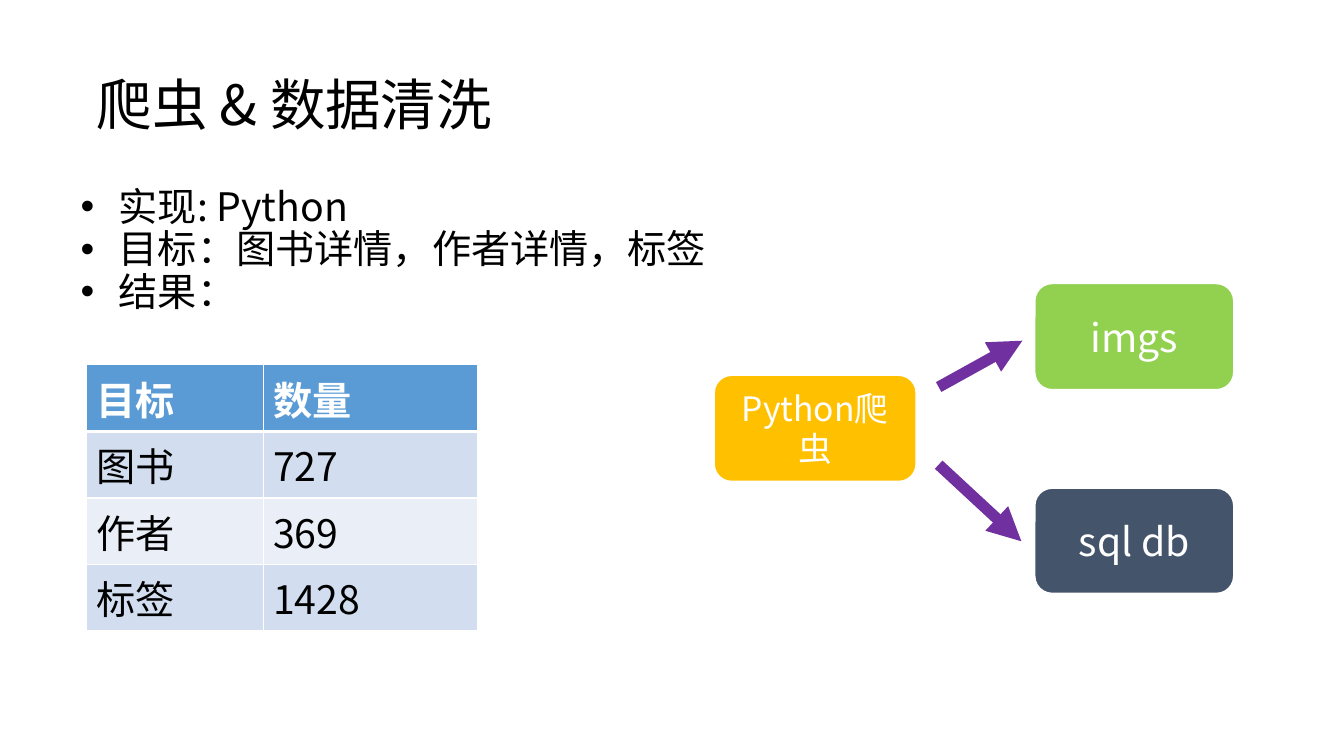
"""Builds the crawler and data cleaning slide."""
from lxml import etree
from pptx import Presentation
from pptx.dml.color import RGBColor
from pptx.enum.shapes import MSO_CONNECTOR, MSO_SHAPE
from pptx.enum.text import MSO_ANCHOR, PP_ALIGN
from pptx.oxml.ns import qn
from pptx.util import Inches, Pt

ROUNDED = MSO_SHAPE.ROUNDED_RECTANGLE
STRAIGHT = MSO_CONNECTOR.STRAIGHT
MIDDLE = MSO_ANCHOR.MIDDLE
LEFT, CENTER = PP_ALIGN.LEFT, PP_ALIGN.CENTER

THEME = {
    "font": "Noto Sans CJK SC",
    "title": 39.6, "body": 28, "small": 24,
    "black": "000000", "white": "FFFFFF", "arrow": "7030A0",
    "header": "5B9BD5", "bands": ("D2DEEF", "EAEFF7"),
    "orange": "FFC000", "green": "92D050", "slate": "44546A",
}

TITLE = "爬虫 & 数据清洗"
BULLETS = ["实现: Python", "目标：图书详情，作者详情，标签", "结果："]
ROWS = [("目标", "数量"), ("图书", "727"), ("作者", "369"), ("标签", "1428")]
COL_WIDTHS = (1.75, 2.13)
ROW_HEIGHT = 0.66
NODES = [
    ("sql db", (10.26, 4.84, 1.98, 1.05), "slate", "body"),
    ("imgs", (10.26, 2.81, 1.98, 1.06), "green", "body"),
    ("Python爬虫", (7.08, 3.72, 2.01, 1.06), "orange", "small"),
]
ARROWS = [(9.31, 3.84, 10.14, 3.38), (9.31, 4.61, 10.13, 5.37)]


def rgb(value):
    return RGBColor.from_string(value)


def inches(values):
    return [Inches(v) for v in values]


def write(tf, text, size="body", color="black", bold=False, align=LEFT,
          spacing=None, bullet=False):
    """Fill a text frame, one paragraph for each line."""
    tf.word_wrap = True
    tf.vertical_anchor = MIDDLE
    for i, line in enumerate(text.split("\n")):
        p = tf.add_paragraph() if i else tf.paragraphs[0]
        p.alignment, p.line_spacing = align, spacing
        r = p.add_run()
        r.text = line
        r.font.name, r.font.size, r.font.bold = THEME["font"], Pt(THEME[size]), bold
        r.font.color.rgb = rgb(THEME[color])
        ea = etree.SubElement(r.font._element, qn("a:ea"))
        ea.set("typeface", THEME["font"])
        if bullet:
            pPr = p._p.get_or_add_pPr()
            pPr.set("marL", str(Inches(0.38)))
            pPr.set("indent", str(-Inches(0.38)))
            etree.SubElement(pPr, qn("a:buFont")).set("typeface", "Arial")
            etree.SubElement(pPr, qn("a:buChar")).set("char", "•")


def border(cell, side, width):
    ln = etree.SubElement(cell._tc.get_or_add_tcPr(), qn("a:" + side), w=str(Pt(width)))
    fill = etree.SubElement(ln, qn("a:solidFill"))
    etree.SubElement(fill, qn("a:srgbClr"), val=THEME["white"])


def add_counts(s):
    box = inches((0.86, 3.62, sum(COL_WIDTHS), ROW_HEIGHT * len(ROWS)))
    table = s.shapes.add_table(len(ROWS), len(COL_WIDTHS), *box).table
    for column, width in zip(table.columns, COL_WIDTHS):
        column.width = Inches(width)
    for i, row in enumerate(ROWS):
        header = i == 0
        fill = THEME["header"] if header else THEME["bands"][(i - 1) % 2]
        for j, text in enumerate(row):
            cell = table.cell(i, j)
            write(cell.text_frame, text, color="white" if header else "black", bold=header)
            cell.vertical_anchor = MIDDLE
            for side in ("lnL", "lnR", "lnT", "lnB"):
                thick = (header and side == "lnB") or (i == 1 and side == "lnT")
                border(cell, side, 3 if thick else 1)
            cell.fill.solid()
            cell.fill.fore_color.rgb = rgb(fill)


def add_node(s, text, box, color, size):
    sp = s.shapes.add_shape(ROUNDED, *inches(box))
    sp.shadow.inherit = False
    sp.fill.solid()
    sp.fill.fore_color.rgb = rgb(THEME[color])
    sp.line.color.rgb = rgb(THEME["white"])
    sp.line.width = Pt(1.5)
    write(sp.text_frame, text, size=size, color="white", align=CENTER)


def add_arrow(s, ends):
    c = s.shapes.add_connector(STRAIGHT, *inches(ends))
    c.line.color.rgb = rgb(THEME["arrow"])
    c.line.width = Pt(8)
    etree.SubElement(c.line._get_or_add_ln(), qn("a:tailEnd"), type="triangle")
    etree.SubElement(c._element.spPr, qn("a:effectLst"))


def main():
    prs = Presentation()
    prs.slide_width, prs.slide_height = Inches(13.33), Inches(7.5)
    s = prs.slides.add_slide(prs.slide_layouts[6])
    title = s.shapes.add_textbox(*inches((0.86, 0.62, 4.5, 0.89)))
    write(title.text_frame, TITLE, size="title", spacing=0.9)
    body = s.shapes.add_textbox(*inches((0.7, 1.3, 9.11, 2.38)))
    write(body.text_frame, "\n".join(BULLETS), spacing=0.9, bullet=True)
    add_counts(s)
    for node in NODES:
        add_node(s, *node)
    for ends in ARROWS:
        add_arrow(s, ends)
    prs.save("out.pptx")


if __name__ == "__main__":
    main()
